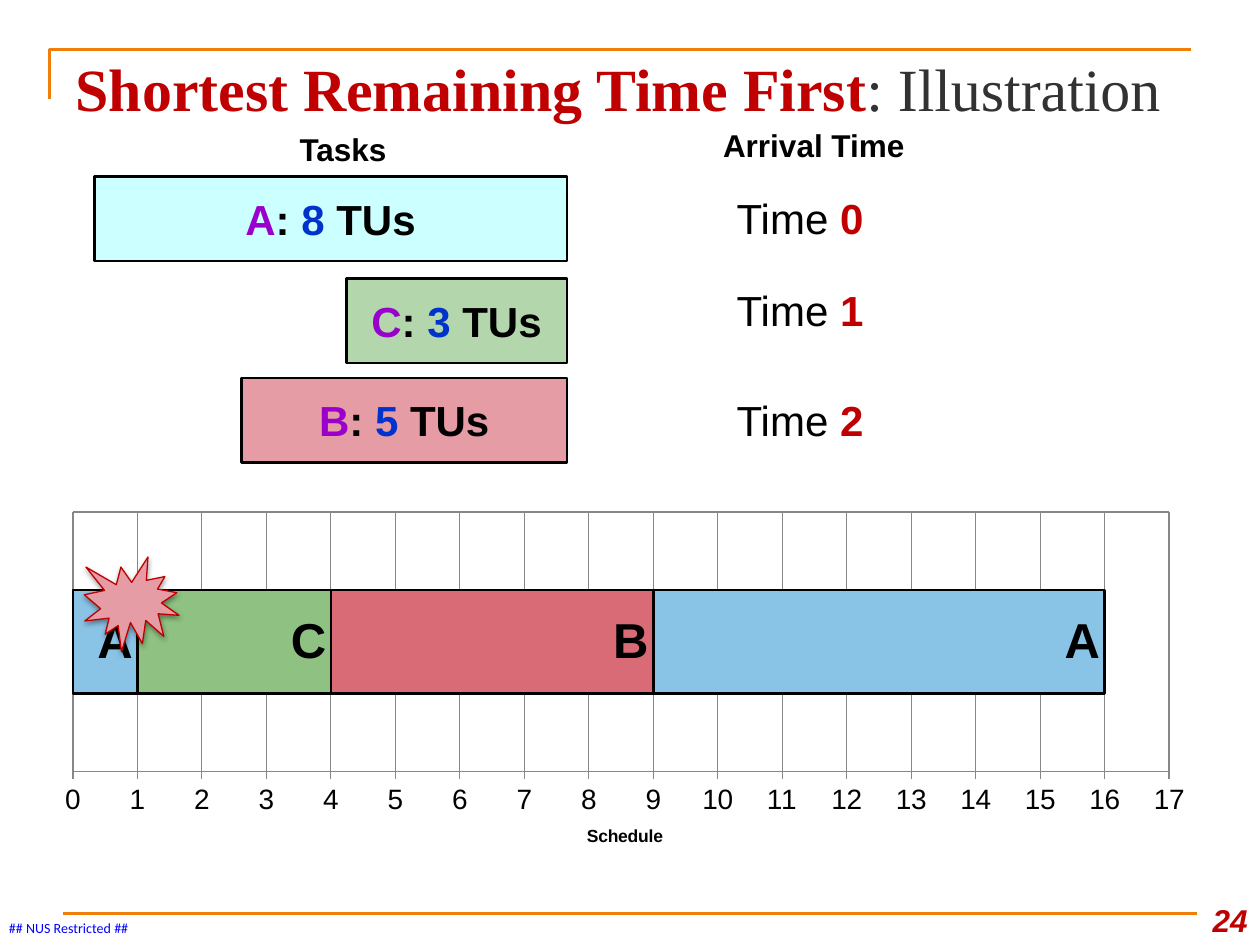
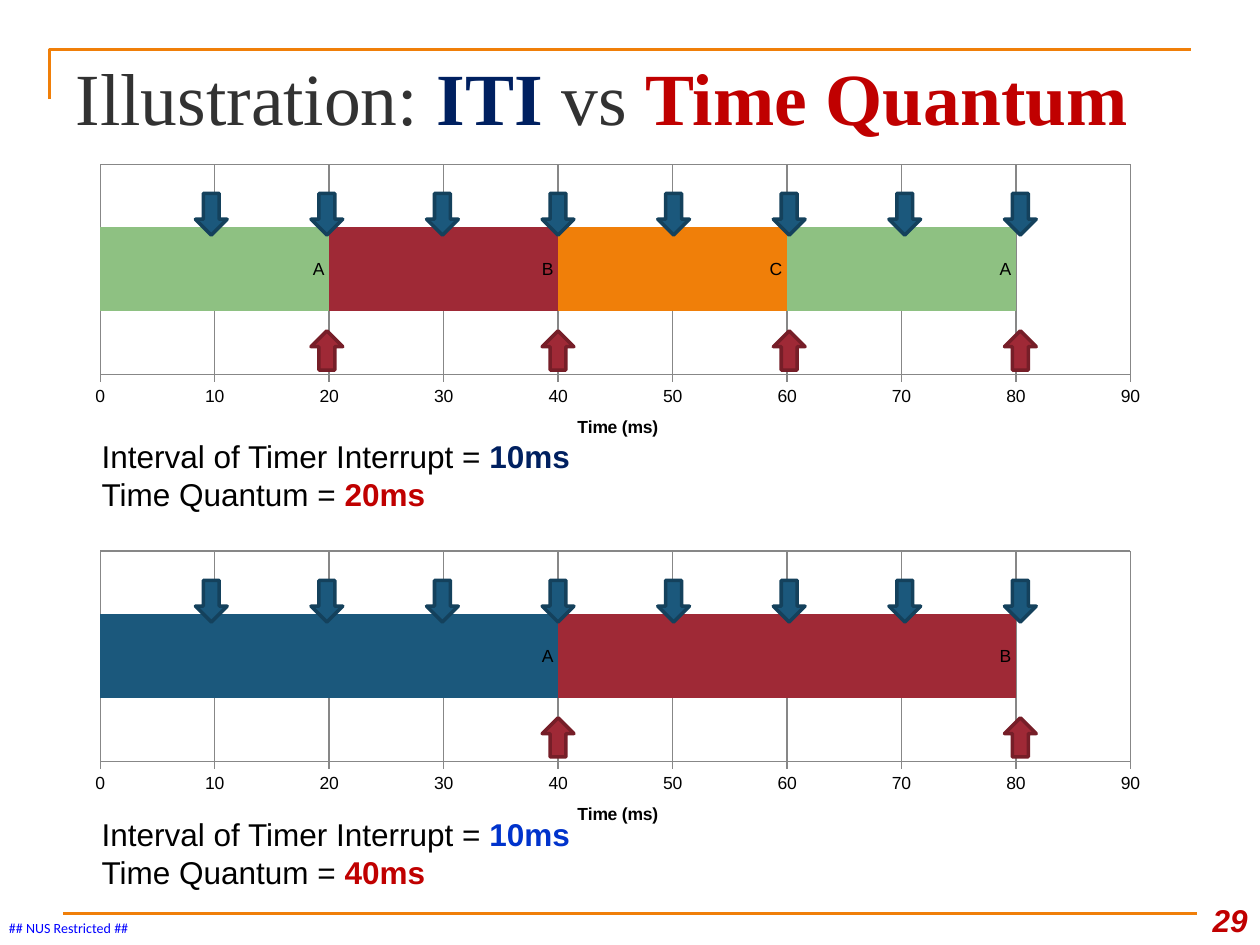
from lxml import etree
from pptx import Presentation
from pptx.chart.data import CategoryChartData as Data
from pptx.dml.color import RGBColor
from pptx.enum.chart import (XL_CHART_TYPE as Kind, XL_LABEL_POSITION as Spot,
                             XL_TICK_MARK as Tick)
from pptx.enum.shapes import MSO_CONNECTOR as Wire, MSO_SHAPE as Form
from pptx.enum.text import (MSO_ANCHOR as Anchor, MSO_AUTO_SIZE as Fit,
                            PP_ALIGN as Align)
from pptx.oxml import parse_xml
from pptx.oxml.ns import nsdecls, qn
from pptx.util import Cm, Pt

SANS, SERIF = "Arial", "Times New Roman"
BLACK, GRAY, GRID = "000000", "323232", "878787"
RED, NAVY, BLUE, PURPLE = "C00000", "002060", "0033CC", "9900CC"
ORANGE, TEAL, WINE, GREEN = "F07F09", "1B587C", "9F2936", "8EC182"
SKY, ROSE, PINK = "89C3E5", "D96B77", "E69CA4"


def tint(code):
    return RGBColor.from_string(code)


def area(box):
    """Turn left, top, width, height in centimetres into lengths."""
    return [Cm(n) for n in box]


def ink(font, size, color, bold=False, name=SANS):
    font.size, font.bold, font.name = Pt(size), bold, name
    font.color.rgb = tint(color)


def write(frame, lines, size, align=Align.LEFT, name=SANS):
    """Fill a frame with lines, each a list of (text, colour, bold)."""
    for i, parts in enumerate(lines):
        par = frame.add_paragraph() if i else frame.paragraphs[0]
        par.alignment = align
        for text, color, bold in parts:
            run = par.add_run()
            run.text = text
            ink(run.font, size, color, bold, name)


def label(slide, box, lines, size, align=Align.LEFT, name=SANS):
    frame = slide.shapes.add_textbox(*area(box)).text_frame
    frame.word_wrap = True
    write(frame, lines, size, align, name)
    return frame


def block(slide, form, box, fill, edge, width):
    shape = slide.shapes.add_shape(form, *area(box))
    shape.shadow.inherit = False
    shape.fill.solid()
    shape.fill.fore_color.rgb = tint(fill)
    shape.line.color.rgb = tint(edge)
    shape.line.width = Pt(width)
    return shape


def frame_page(deck, title, size, number):
    """Add a slide with title, orange rules, marking and page number."""
    slide = deck.slides.add_slide(deck.slide_layouts[5])
    path = slide.shapes.build_freeform(1.07, 2.33, scale=Cm(1))
    path.add_line_segments([(1.07, 0.64), (23.93, 0.64)], close=False)
    corner = path.convert_to_shape()
    corner.fill.background()
    corner.shadow.inherit = False
    rule = slide.shapes.add_connector(
        Wire.STRAIGHT, Cm(1.27), Cm(18.42), Cm(24.13), Cm(18.42))
    etree.SubElement(rule.element.find(qn("p:spPr")), qn("a:effectLst"))
    for line in (corner.line, rule.line):
        line.color.rgb = tint(ORANGE)
        line.width = Pt(1.5)

    mark = label(slide, (0.18, 18.54, 2.46, 0.33),
                 [[("## NUS Restricted ##", "0000FF", False)]], 8,
                 name="Calibri")
    mark.margin_left = mark.margin_right = 0
    mark.margin_top = mark.margin_bottom = 0
    mark.word_wrap = False
    page = label(slide, (23.93, 17.78, 1.47, 1.27),
                 [[(number, RED, True)]], 18, Align.RIGHT)
    page.vertical_anchor = Anchor.BOTTOM
    page.paragraphs[0].runs[0].font.italic = True

    head = slide.shapes.title
    head.left, head.top, head.width, head.height = area(
        (1.27, 0.76, 22.86, 1.98))
    frame = head.text_frame
    frame.auto_size = Fit.NONE
    frame.vertical_anchor = Anchor.TOP
    frame.margin_top = Cm(0.29)
    write(frame, [title], size, name=SERIF)
    return slide


def timeline(slide, box, plot, bars, title, top, step, sizes, edge=None):
    """Draw bars (name, length, colour) end to end on a time axis.

    plot is the inner plot area relative to box; sizes are those of the
    axis numbers and the bar names.
    """
    data = Data()
    data.categories = ["1"]
    for name, span, _ in bars:
        data.add_series(name, [span])
    chart = slide.shapes.add_chart(Kind.BAR_STACKED, *area(box), data).chart
    ink(chart.font, 10, BLACK)
    chart.has_title = chart.has_legend = False
    chart.plots[0].gap_width, chart.plots[0].overlap = 150, 100
    chart.plots[0].vary_by_categories = False

    for series, (_, _, color) in zip(chart.plots[0].series, bars):
        series.format.fill.solid()
        series.format.fill.fore_color.rgb = tint(color)
        if edge:
            series.format.line.color.rgb = tint(edge)
            series.format.line.width = Pt(1.5)
        else:
            series.format.line.fill.background()
        names = series.data_labels
        names.show_series_name, names.show_value = True, False
        names.position = Spot.INSIDE_END
        ink(names.font, sizes[1], BLACK, bool(edge))

    rows, time = chart.category_axis, chart.value_axis
    rows.visible = False
    time.minimum_scale, time.maximum_scale, time.major_unit = 0, top, step
    time.major_tick_mark, time.minor_tick_mark = Tick.OUTSIDE, Tick.NONE
    ink(time.tick_labels.font, sizes[0], BLACK)
    time.format.line.color.rgb = tint(GRID)
    for axis in (rows, time):
        axis.has_major_gridlines = True
        axis.major_gridlines.format.line.color.rgb = tint(GRID)
    words = time.axis_title.text_frame
    words.text = title
    ink(words.paragraphs[0].runs[0].font, 10, BLACK, True)

    zone = chart.element.find(".//" + qn("c:plotArea"))
    for old in zone.findall(qn("c:layout")):
        zone.remove(old)
    layout = etree.Element(qn("c:layout"))
    inner = etree.SubElement(layout, qn("c:manualLayout"))
    rules = [("layoutTarget", "inner"), ("xMode", "edge"), ("yMode", "edge")]
    rules += [(key, plot[i] / box[2 + i % 2]) for i, key in enumerate("xywh")]
    for key, val in rules:
        etree.SubElement(inner, qn("c:" + key)).set("val", str(val))
    zone.insert(0, layout)


def task(slide, top, width, fill, name, units, start, drop):
    """Draw one task, flush right, with its arrival time beside it."""
    bar = block(slide, Form.RECTANGLE, (11.43 - width, top, width, 1.7),
                fill, BLACK, 1.5)
    frame = bar.text_frame
    frame.word_wrap = False
    frame.vertical_anchor = Anchor.MIDDLE
    write(frame, [[(name, PURPLE, True), (": ", BLACK, True),
                   (units, BLUE, True), (" TUs", BLACK, True)]],
          24, Align.CENTER)
    label(slide, (14.6, top + drop, 4.02, 1.27),
          [[("Time ", BLACK, False), (start, RED, True)]], 24)


def burst(slide, box):
    seal = block(slide, Form.EXPLOSION1, box, PINK, RED, 0.75)
    props = seal.element.spPr
    props.remove(props.find(qn("a:effectLst")))
    props.append(parse_xml(
        f'<a:effectLst {nsdecls("a")}><a:outerShdw blurRad="{Pt(3.1)}" '
        f'dist="{Pt(1.6)}" dir="5400000" rotWithShape="0">'
        '<a:srgbClr val="000000"><a:alpha val="38000"/></a:srgbClr>'
        '</a:outerShdw></a:effectLst>'))


def shortest(deck):
    slide = frame_page(deck, [("Shortest Remaining Time First", RED, True),
                              (": Illustration", GRAY, False)], 34.2, "24")
    for left, top, text in ((4.78, 2.5, "Tasks "),
                            (14.18, 2.42, "Arrival Time")):
        label(slide, (left, top, 4.45, 1.02), [[(text, BLACK, True)]],
              18, Align.CENTER)
    task(slide, 3.56, 9.53, "CCFFFF", "A", "8", "0", 0.2)
    task(slide, 5.62, 4.45, "B3D6AC", "C", "3", "1", 0)
    task(slide, 7.62, 6.56, PINK, "B", "5", "2", 0.2)
    timeline(slide, (0.85, 10.16, 23.5, 7.44), (0.62, 0.16, 22.1, 5.24),
             [("A", 1, SKY), ("C", 3, GREEN), ("B", 5, ROSE), ("A", 7, SKY)],
             "Schedule", 17, 1, (16, 28), BLACK)
    burst(slide, (1.7, 11.23, 1.91, 1.91))


def ticks(slide, top, bars, slice_ms, drop, shade):
    """Draw a timeline with interrupts, switches and a note below."""
    timeline(slide, (1.47, top, 21.95, 6.17), (0.55, 0.13, 20.77, 4.24),
             bars, "Time (ms)", 90, 10, (10, 10))
    marks = ((Form.DOWN_ARROW, 10, 0.72, 0.84, TEAL, "14415C"),
             (Form.UP_ARROW, slice_ms, 3.49, 0.79, WINE, "761E28"))
    for form, step, down, high, fill, edge in marks:
        for time in range(step, 81, step):
            block(slide, form,
                  (1.61 + 0.233 * time, top + down, 0.64, high),
                  fill, edge, 2)
    label(slide, (1.8, top + drop, 12.07, 1.8),
          [[("Interval of Timer Interrupt = ", BLACK, False),
            ("10ms", shade, True)],
           [("Time Quantum = ", BLACK, False),
            (f"{slice_ms}ms", RED, True)]], 18)


def quantum(deck):
    slide = frame_page(deck, [("Illustration: ", GRAY, False),
                              ("ITI", NAVY, True), (" vs ", GRAY, False),
                              ("Time Quantum", RED, True)], 42, "29")
    ticks(slide, 3.18, [("A", 20, GREEN), ("B", 20, WINE),
                        ("C", 20, ORANGE), ("A", 20, GREEN)],
          20, 5.51, NAVY)
    ticks(slide, 10.98, [("A", 40, TEAL), ("B", 40, WINE)], 40, 5.33, BLUE)


def main():
    deck = Presentation()
    deck.slide_width, deck.slide_height = Cm(25.4), Cm(19.05)
    shortest(deck)
    quantum(deck)
    deck.save("out.pptx")


if __name__ == "__main__":
    main()
